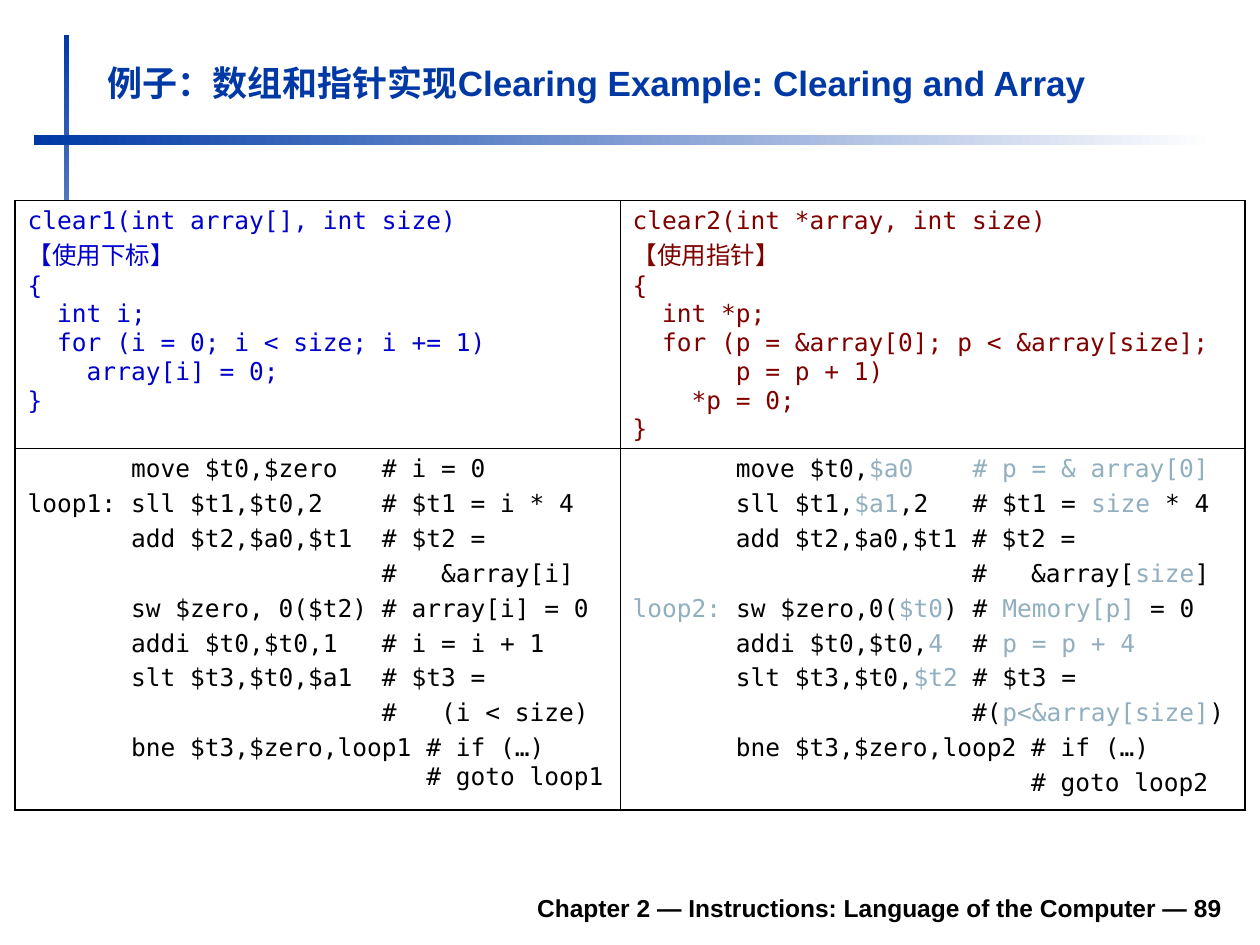
from copy import deepcopy

from lxml import etree
from pptx import Presentation
from pptx import util as u
from pptx.dml.color import RGBColor
from pptx.enum import shapes, text
from pptx.oxml.ns import qn

MUTED_MARK = "~"  # encloses the parts of a code line shown in the muted colour

ARRAY_C = """clear1(int array[], int size)
【使用下标】
{
  int i;
  for (i = 0; i < size; i += 1)
    array[i] = 0;
}"""

POINTER_C = """clear2(int *array, int size)
【使用指针】
{
  int *p;
  for (p = &array[0]; p < &array[size];
       p = p + 1)
    *p = 0;
}"""

# A \v is a line break inside a paragraph
ARRAY_ASSEMBLY = """       move $t0,$zero   # i = 0
loop1: sll $t1,$t0,2    # $t1 = i * 4
       add $t2,$a0,$t1  # $t2 =
                        #   &array[i]
       sw $zero, 0($t2) # array[i] = 0
       addi $t0,$t0,1   # i = i + 1
       slt $t3,$t0,$a1  # $t3 =
                        #   (i < size)
       bne $t3,$zero,loop1 # if (…)\v                           # goto loop1"""

POINTER_ASSEMBLY = """       move $t0,~$a0    # p = & array[0]~
       sll $t1,~$a1~,2   # $t1 = ~size~ * 4
       add $t2,$a0,$t1 # $t2 =
                       #   &array[~size~]
~loop2:~ sw $zero,0(~$t0~) # ~Memory[p]~ = 0
       addi $t0,$t0,~4~  # ~p = p + 4~
       slt $t3,$t0,~$t2~ # $t3 =
                       #(~p<&array[size]~)
       bne $t3,$zero,loop2 # if (…)
                           # goto loop2"""


def rgb(value):
    return RGBColor.from_string(value)


def write(paragraph, content, size=14, font="Arial", color="000000", bold=False):
    """Add content as formatted runs, with \\v as a line break."""
    for index, line in enumerate(content.split("\v")):
        if index:
            paragraph.add_line_break()
            line_break = paragraph._p[-1]
            line_break.append(deepcopy(run.font._element))
        run = paragraph.add_run()
        run.text = line
        run.font.size = u.Pt(size)
        run.font.name = font
        run.font.bold = bold
        run.font.color.rgb = rgb(color)


def set_border(cell, side, color, width):
    """Draw one cell border; side is L, R, T or B."""
    line = etree.SubElement(cell._tc.get_or_add_tcPr(), qn(f"a:ln{side}"),
                            w=str(u.Pt(width)))
    fill = etree.SubElement(line, qn("a:solidFill"))
    etree.SubElement(fill, qn("a:srgbClr"), val=color)


class SlideBuilder:
    accent = "0039A6"
    background = "FFFFFF"
    ink = "000000"
    muted = "91AFBF"
    code_font = "DejaVu Sans Mono"
    outer_line, inner_line = 1.08, 0.45

    def __init__(self, slide):
        self.slide = slide

    def fading_bar(self, left, top, width, height, angle):
        shape = self.slide.shapes.add_shape(
            shapes.MSO_SHAPE.RECTANGLE, *map(u.Inches, (left, top, width, height)))
        shape.shadow.inherit = False
        shape.line.fill.background()
        shape.fill.gradient()
        shape.fill.gradient_angle = angle
        for stop, color in zip(shape.fill.gradient_stops, (self.accent, self.background)):
            stop.color.rgb = rgb(color)

    def title(self, content, left, top, width, height):
        title = self.slide.shapes.title
        title.left, title.top, title.width, title.height = map(
            u.Inches, (left, top, width, height))
        frame = title.text_frame
        frame.vertical_anchor = text.MSO_ANCHOR.BOTTOM
        frame.auto_size = text.MSO_AUTO_SIZE.SHAPE_TO_FIT_TEXT
        paragraph = frame.paragraphs[0]
        paragraph.alignment = text.PP_ALIGN.LEFT
        write(paragraph, content, size=20, color=self.accent, bold=True)

    def footer(self, content, left, top, width, height):
        box = self.slide.shapes.add_textbox(*map(u.Inches, (left, top, width, height)))
        frame = box.text_frame
        frame.word_wrap = True
        frame.vertical_anchor = text.MSO_ANCHOR.BOTTOM
        paragraph = frame.paragraphs[0]
        paragraph.alignment = text.PP_ALIGN.RIGHT
        write(paragraph, content, bold=True)

    def code_cell(self, cell, code, color, space_before):
        frame = cell.text_frame
        for index, line in enumerate(code.split("\n")):
            paragraph = frame.add_paragraph() if index else frame.paragraphs[0]
            paragraph.space_before = u.Pt(space_before if index else 0)
            for part, content in enumerate(line.split(MUTED_MARK)):
                if content:
                    write(paragraph, content, font=self.code_font,
                          color=self.muted if part % 2 else color)

    def code_table(self, rows, left, top, widths, heights):
        """Each row is a list of (code, color, space before) cells."""
        table = self.slide.shapes.add_table(
            len(heights), len(widths),
            *map(u.Inches, (left, top, sum(widths), sum(heights)))).table
        table.first_row = table.horz_banding = False
        for column, width in zip(table.columns, widths):
            column.width = u.Inches(width)
        for r, (row, height) in enumerate(zip(rows, heights)):
            table.rows[r].height = u.Inches(height)
            for c, content in enumerate(row):
                cell = table.cell(r, c)
                self.code_cell(cell, *content)
                outer_sides = {"L": c == 0, "R": c == len(widths) - 1,
                               "T": r == 0, "B": r == len(heights) - 1}
                for side, is_outer in outer_sides.items():
                    set_border(cell, side, self.ink,
                               self.outer_line if is_outer else self.inner_line)
                cell.fill.solid()
                cell.fill.fore_color.rgb = rgb(self.background)


def main():
    presentation = Presentation()
    presentation.slide_width, presentation.slide_height = u.Inches(10), u.Inches(7.5)
    title_only = presentation.slide_layouts[5]
    builder = SlideBuilder(presentation.slides.add_slide(title_only))

    builder.fading_bar(0.51, 0.28, 0.04, 4.17, angle=270)
    builder.fading_bar(0.27, 1.07, 9.37, 0.08, angle=0)
    builder.footer("Chapter 2 — Instructions: Language of the Computer — 89",
                   1.85, 6.98, 7.95, 0.39)
    builder.title("例子：数组和指针实现Clearing Example: Clearing and Array",
                  0.75, 0.44, 9.03, 0.43)
    builder.code_table(
        [[(ARRAY_C, "0000CC", 0), (POINTER_C, "800000", 0)],
         [(ARRAY_ASSEMBLY, builder.ink, 3.5), (POINTER_ASSEMBLY, builder.ink, 3.5)]],
        0.12, 1.59, widths=[4.8, 4.96], heights=[1.97, 2.87])

    presentation.save("out.pptx")


if __name__ == "__main__":
    main()
